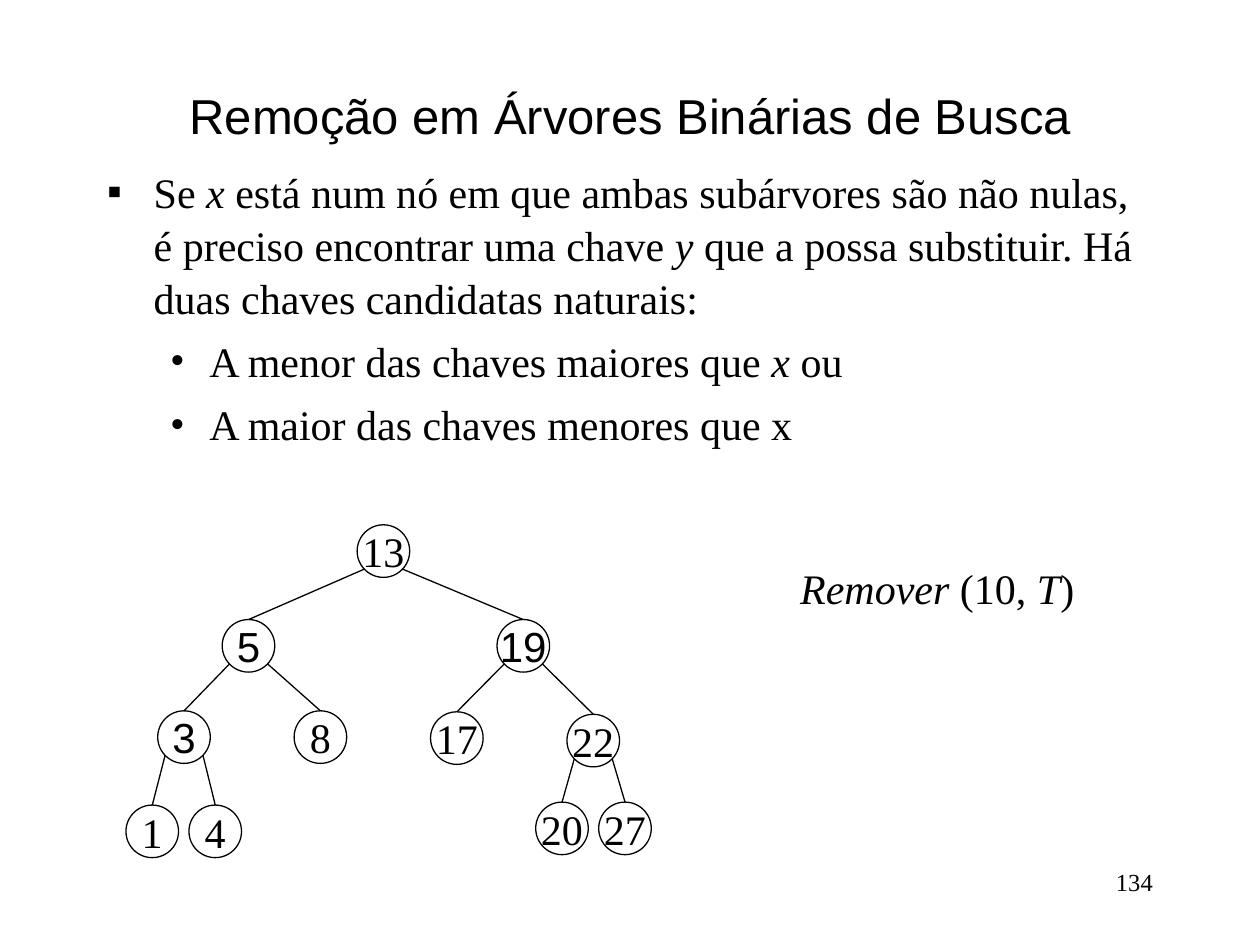
from lxml import etree
from pptx import Presentation
from pptx.dml.color import RGBColor
from pptx.enum.shapes import MSO_CONNECTOR as Connector, MSO_SHAPE as Shape
from pptx.enum.text import MSO_ANCHOR as Anchor, MSO_AUTO_SIZE as AutoSize, PP_ALIGN as Align
from pptx.oxml.ns import qn
from pptx.util import Cm, Pt

BLACK = RGBColor(0, 0, 0)
SANS, SERIF = "Arial", "Times New Roman"
DIAMETER = 1.06
EDGE_DX, EDGE_DY = 0.38, 0.89  # where an edge leaves its parent circle

# key: (left, top, font), in centimetres
NODES = {
    13: (7.2, 10.58, SERIF),
    5: (4.48, 12.49, SANS),
    19: (10.02, 12.49, SANS),
    3: (3.18, 14.33, SANS),
    8: (5.93, 14.33, SERIF),
    17: (8.68, 14.35, SERIF),
    22: (11.43, 14.4, SERIF),
    1: (2.54, 16.23, SERIF),
    4: (3.81, 16.23, SERIF),
    20: (10.8, 16.17, SERIF),
    27: (12.07, 16.17, SERIF),
}
# parent: (left child, right child)
CHILDREN = {13: (5, 19), 5: (3, 8), 19: (17, 22), 3: (1, 4), 22: (20, 27)}

# (bullet, indent, hanging, runs as (text, italic))
BULLETS = [
    ("▪", 0.94, 0.94, [
        ("Se ", False), ("x", True),
        (" está num nó em que ambas subárvores são não nulas, "
         "é preciso encontrar uma chave ", False),
        ("y", True),
        (" que a possa substituir. Há duas chaves candidatas naturais:", False)]),
    ("•", 2.06, 0.79, [
        ("A menor das chaves maiores que ", False), ("x ", True), ("ou", False)]),
    ("•", 2.06, 0.79, [("A maior das chaves menores que x", False)]),
]


def add_runs(para, runs, font=SERIF, size=24):
    for text, italic in runs:
        span = para.add_run()
        span.text = text
        span.font.name = font
        span.font.size = Pt(size)
        span.font.italic = italic
        span.font.color.rgb = BLACK


def add_text(page, left, top, width, height, runs, align, font=SERIF, size=24):
    box = page.shapes.add_textbox(Cm(left), Cm(top), Cm(width), Cm(height))
    frame = box.text_frame
    frame.word_wrap = True
    para = frame.paragraphs[0]
    para.alignment = align
    add_runs(para, runs, font, size)
    return frame


def set_bullet(para, symbol, indent, hanging):
    props = para._p.get_or_add_pPr()
    props.set("marL", str(Cm(indent)))
    props.set("indent", str(-Cm(hanging)))
    etree.SubElement(props, qn("a:buFont"), typeface=SERIF)
    etree.SubElement(props, qn("a:buChar"), char=symbol)


def add_bullets(page):
    box = page.shapes.add_textbox(Cm(1.91), Cm(3.18), Cm(21.59), Cm(13.76))
    frame = box.text_frame
    frame.word_wrap = True
    for index, (symbol, indent, hanging, runs) in enumerate(BULLETS):
        para = frame.add_paragraph() if index else frame.paragraphs[0]
        para.space_before = Pt(6)
        para.line_spacing = 1.05
        set_bullet(para, symbol, indent, hanging)
        add_runs(para, runs)


def add_node(page, key):
    left, top, font = NODES[key]
    node = page.shapes.add_shape(
        Shape.OVAL, Cm(left), Cm(top), Cm(DIAMETER), Cm(DIAMETER))
    node.shadow.inherit = False
    node.fill.background()
    node.line.color.rgb = BLACK
    node.line.width = Pt(0.75)
    frame = node.text_frame
    frame.word_wrap = False
    frame.vertical_anchor = Anchor.MIDDLE
    para = frame.paragraphs[0]
    para.alignment = Align.CENTER
    add_runs(para, [(str(key), False)], font)
    return node


def add_edge(page, parent, child, side, child_node):
    """Draw a line from the lower side of the parent to the top of the child."""
    left, top, _ = NODES[parent]
    child_left, child_top, _ = NODES[child]
    radius = DIAMETER / 2
    edge = page.shapes.add_connector(
        Connector.STRAIGHT,
        Cm(left + radius + side * EDGE_DX), Cm(top + EDGE_DY),
        Cm(child_left + radius), Cm(child_top))
    edge.end_connect(child_node, 0)
    edge.line.color.rgb = BLACK
    edge.line.width = Pt(0.75)
    etree.SubElement(edge._element.spPr, qn("a:effectLst"))


def add_tree(page):
    nodes = {key: add_node(page, key) for key in NODES}
    for parent, children in CHILDREN.items():
        for side, child in zip((-1, 1), children):
            add_edge(page, parent, child, side, nodes[child])


def main():
    deck = Presentation()
    deck.slide_width, deck.slide_height = Cm(25.4), Cm(19.05)
    page = deck.slides.add_slide(deck.slide_layouts[6])

    title = add_text(page, 1.91, 1.69, 21.59, 1.27,
                     [("Remoção em Árvores Binárias de Busca", False)],
                     Align.CENTER, SANS, 28)
    title.vertical_anchor = Anchor.MIDDLE
    add_bullets(page)
    call = add_text(page, 15.88, 11.22, 6.03, 1.27,
                    [("Remover", True), (" (10, ", False), ("T", True), (")", False)],
                    Align.CENTER)
    call.word_wrap = False
    call.auto_size = AutoSize.SHAPE_TO_FIT_TEXT
    add_tree(page)
    add_text(page, 18.2, 17.36, 5.29, 1.27, [("134", False)], Align.RIGHT, size=14)

    deck.save("out.pptx")


if __name__ == "__main__":
    main()
